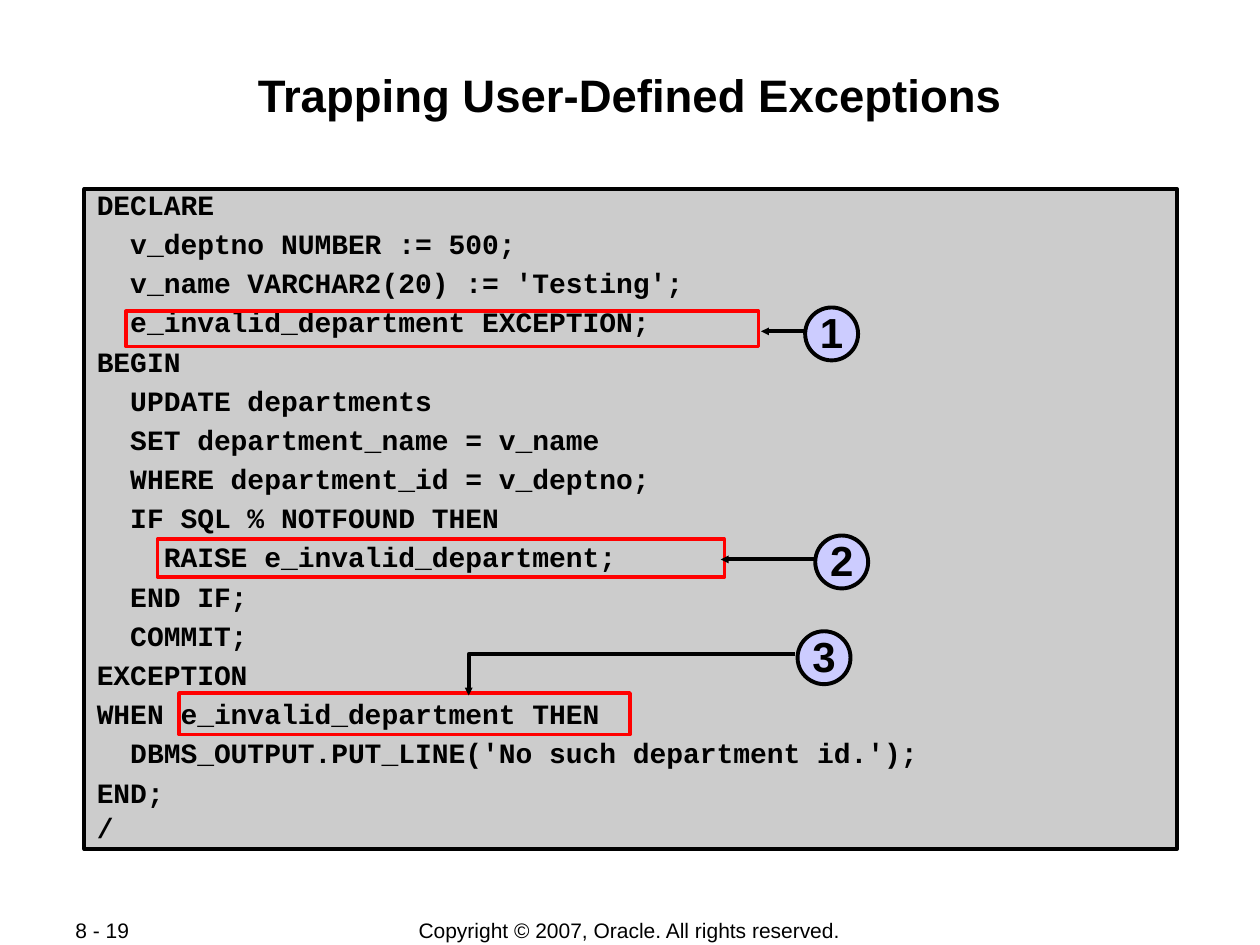
import pptx
import pptx.util
import pptx.dml.color
import pptx.enum.shapes
import pptx.enum.text
import pptx.oxml

Inches, Pt = pptx.util.Inches, pptx.util.Pt
Shape = pptx.enum.shapes.MSO_SHAPE
Align = pptx.enum.text.PP_ALIGN
Anchor = pptx.enum.text.MSO_ANCHOR
NS = 'xmlns:a="http://schemas.openxmlformats.org/drawingml/2006/main"'

TITLE = "Trapping User-Defined Exceptions"
PAGE = "8 - 19"
RIGHTS = "Copyright © 2007, Oracle. All rights reserved."
CODE = """DECLARE
  v_deptno NUMBER := 500;
  v_name VARCHAR2(20) := 'Testing';
  e_invalid_department EXCEPTION;
BEGIN
  UPDATE departments
  SET department_name = v_name
  WHERE department_id = v_deptno;
  IF SQL % NOTFOUND THEN
    RAISE e_invalid_department;
  END IF;
  COMMIT;
EXCEPTION
WHEN e_invalid_department THEN
  DBMS_OUTPUT.PUT_LINE('No such department id.');
END;
/"""

FRAMES = [(1, 2.47, 5.02, 0.28), (1.25, 4.28, 4.5, 0.3), (1.42, 5.5, 3.58, 0.33)]
STEPS = [(6.39, 2.44), (6.47, 4.25), (6.33, 5.01)]
BALL = 0.42
ARROWS = [(6.39, 6.04, 2.63), (6.47, 5.72, 4.44)]  # from x, to x, y
BEND = [(6.31, 5.19), (3.72, 5.19), (3.72, 5.52)]


def color(code):
    return pptx.dml.color.RGBColor.from_string(code)


def stroke(item, code="000000", width=2.25):
    item.line.color.rgb = color(code)
    item.line.width = Pt(width)


def point(item):
    """Put a small arrowhead at the end of a line."""
    item.line._get_or_add_ln().append(
        pptx.oxml.parse_xml(f'<a:tailEnd {NS} type="triangle" w="sm" len="sm"/>'))


def write(item, text, size, font="Arial", bold=False, align=Align.LEFT,
          anchor=Anchor.MIDDLE, pad=(0.1, 0.05), wrap=False):
    frame = item.text_frame
    frame.text = text
    frame.word_wrap = wrap
    frame.vertical_anchor = anchor
    frame.margin_left = frame.margin_right = Inches(pad[0])
    frame.margin_top = frame.margin_bottom = Inches(pad[1])
    for para in frame.paragraphs:
        para.alignment = align
        for run in para.runs:
            run.font.size = Pt(size)
            run.font.name = font
            run.font.bold = bold
            run.font.color.rgb = color("000000")
    return frame.paragraphs


def label(box, text, size, **style):
    write(slide.shapes.add_textbox(*map(Inches, box)), text, size, **style)


def draw(kind, box, fill=None, edge="000000", width=2.25):
    item = slide.shapes.add_shape(kind, *map(Inches, box))
    item.shadow.inherit = False
    if fill:
        item.fill.solid()
        item.fill.fore_color.rgb = color(fill)
    else:
        item.fill.background()
    stroke(item, edge, width)
    return item


deck = pptx.Presentation()
deck.slide_width, deck.slide_height = Inches(10), Inches(7.5)
slide = deck.slides.add_slide(deck.slide_layouts[6])

label((2.75, 7.28, 4.49, 0.21), RIGHTS, 12, align=Align.CENTER)
label((0.5, 7.28, 1.06, 0.2), PAGE, 12)
label((0.67, 0.48, 8.66, 0.96), TITLE, 26, bold=True, align=Align.CENTER,
      anchor=Anchor.TOP, pad=(0.01, 0.05), wrap=True)

panel = draw(Shape.RECTANGLE, (0.67, 1.5, 8.67, 5.24), "CCCCCC")
lines = write(panel, CODE, 16, font="Courier New", bold=True,
              anchor=Anchor.TOP, wrap=True)
for line in lines:
    line.line_spacing = 0.75
for line in lines[1:]:
    line.space_before = Pt(8)
lines[-1].line_spacing = 0.6

for box in FRAMES:
    draw(Shape.RECTANGLE, box, edge="FF0000", width=2)

for step, (left, top) in enumerate(STEPS, 1):
    ball = draw(Shape.OVAL, (left, top, BALL, BALL), "CCCCFF")
    para = write(ball, str(step), 24, bold=True, align=Align.CENTER,
                 pad=(0.05, 0.05))[0]
    para.line_spacing = 0.95

for start, end, y in ARROWS:
    arrow = slide.shapes.add_connector(
        pptx.enum.shapes.MSO_CONNECTOR.STRAIGHT,
        Inches(start), Inches(y), Inches(end), Inches(y))
    stroke(arrow)
    point(arrow)
    arrow._element.spPr.append(pptx.oxml.parse_xml(f"<a:effectLst {NS}/>"))

first, *rest = [(Inches(x), Inches(y)) for x, y in BEND]
path = slide.shapes.build_freeform(*first)
path.add_line_segments(rest, close=False)
bend = path.convert_to_shape()
bend.shadow.inherit = False
bend.fill.background()
stroke(bend)
point(bend)

deck.save("out.pptx")
